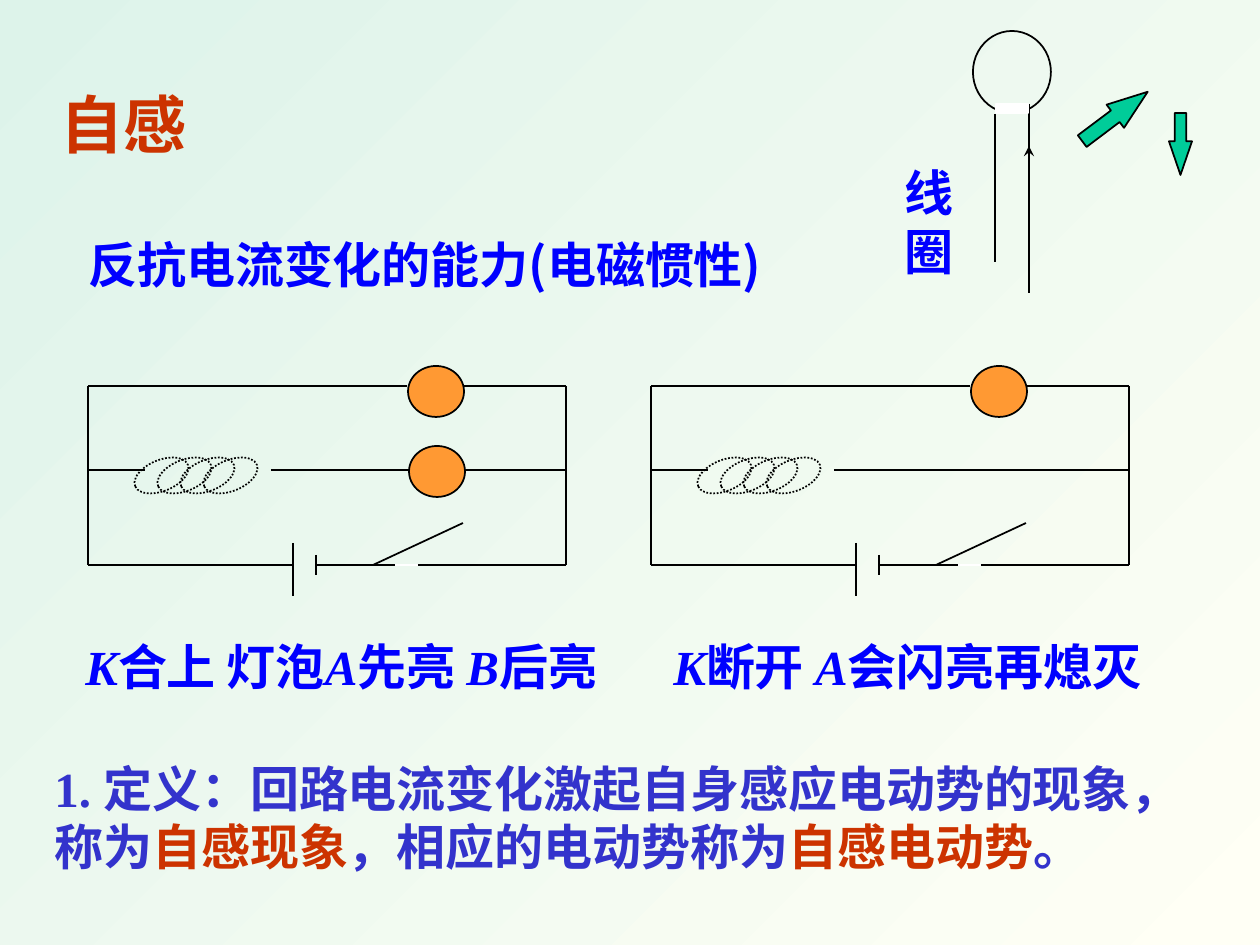
from pptx import Presentation
from pptx.dml.color import RGBColor
from pptx.enum.dml import MSO_LINE
from pptx.enum.shapes import MSO_CONNECTOR, MSO_SHAPE
from pptx.enum.text import MSO_AUTO_SIZE
from pptx.oxml.ns import qn
from pptx.util import Pt
from lxml.etree import SubElement

PX = 914400 / 126
THEME = {
    "bg": ("DDF3EA", "FFFFF5"),
    "line": "000000", "gap": "FFFFFF", "lamp": "FF9933", "arrow": "00CC99",
    "blue": "0000FF", "indigo": "3333CC", "red": "CC3300",
    "title": 36, "body": 28,
    "cjk": "Noto Sans CJK SC", "serif": "Times New Roman",
}


def px(n):
    return round(n * PX)


def rgb(name):
    return RGBColor.from_string(THEME[name])


def line(shapes, x1, y1, x2, y2, color="line", arrow=False):
    c = shapes.add_connector(MSO_CONNECTOR.STRAIGHT, px(x1), px(y1), px(x2), px(y2))
    c.line.color.rgb = rgb(color)
    c.line.width = Pt(1)
    spPr = c._element.spPr
    if arrow:
        SubElement(spPr.find(qn("a:ln")), qn("a:tailEnd"), type="stealth")
    SubElement(spPr, qn("a:effectLst"))


def shape(shapes, kind, x, y, w, h, fill=None, color="line", dash=None, rot=0, adj=()):
    sp = shapes.add_shape(kind, px(x), px(y), px(w), px(h))
    sp.shadow.inherit = False
    if fill:
        sp.fill.solid()
        sp.fill.fore_color.rgb = rgb(fill)
    else:
        sp.fill.background()
    sp.line.color.rgb = rgb(color)
    for name, value in {"width": Pt(1), "dash_style": dash}.items():
        setattr(sp.line, name, value)
    sp.rotation = rot
    for i, value in enumerate(adj):
        sp.adjustments[i] = value


def text(shapes, x, y, w, h, runs, size="body"):
    tf = shapes.add_textbox(px(x), px(y), px(w), px(h)).text_frame
    tf.word_wrap = True
    tf.auto_size = MSO_AUTO_SIZE.SHAPE_TO_FIT_TEXT
    p = tf.paragraphs[0]
    for words, color, font, italic in runs:
        r = p.add_run()
        r.text = words
        fmt = {"size": Pt(THEME[size]), "bold": True, "italic": italic, "name": THEME[font]}
        for name, value in fmt.items():
            setattr(r.font, name, value)
        r.font.color.rgb = rgb(color)
        SubElement(r._r.rPr, qn("a:ea"), typeface=THEME["cjk"])


def background(slide):
    fill = slide.background.fill
    fill.gradient()
    fill.gradient_angle = 315
    for stop, color in zip(fill.gradient_stops, THEME["bg"]):
        stop.color.rgb = RGBColor.from_string(color)


def headings(slide, x, y):
    text(slide.shapes, x, y, 278, 88, [("自感", "red", "cjk", False)], "title")
    text(slide.shapes, x + 28, y + 149, 743, 72,
         [("反抗电流变化的能力(电磁惯性)", "blue", "cjk", False)])


def coil_sketch(slide, x, y):
    g = slide.shapes.add_group_shape().shapes
    shape(g, MSO_SHAPE.RIGHT_ARROW, x + 182, y + 71, 82, 29, "arrow", rot=323, adj=(0.5, 1.4))
    shape(g, MSO_SHAPE.DOWN_ARROW, x + 277, y + 82, 23, 62, "arrow", adj=(0.5, 1.46))
    shape(g, MSO_SHAPE.OVAL, x + 81, y, 78, 82)
    line(g, x + 103, y + 83, x + 103, y + 231)
    line(g, x + 137, y + 73, x + 137, y + 262)
    shape(g, MSO_SHAPE.RECTANGLE, x + 104, y + 73, 32, 9, "gap", "gap")
    line(g, x + 137, y + 157, x + 137, y + 115, arrow=True)
    text(g, x, y + 125, 79, 130, [("线圈", "blue", "serif", False)])


def circuit(slide, x, y, lamps, caption, caption_w):
    g = slide.shapes.add_group_shape().shapes
    w, mid, h = 478, 84, 179
    line(g, x + 296, y + h, x + 341, y + h, "gap")
    wires = [
        (0, 0, 319, 0), (375, 0, w, 0), (0, 0, 0, h), (w, 0, w, h),
        (0, mid, 57, mid), (183, mid, 319, mid), (319, mid, 375, mid), (375, mid, w, mid),
        (0, h, 205, h), (228, h, 307, h), (330, h, w, h),
        (205, 157, 205, 210), (228, 169, 228, 189), (285, h, 375, 137),
    ]
    for x1, y1, x2, y2 in wires:
        line(g, x + x1, y + y1, x + x2, y + y2)
    for i in range(4):
        shape(g, MSO_SHAPE.OVAL, x + 45 + 23 * i, y + 74, 57, 31,
              dash=MSO_LINE.ROUND_DOT, rot=337.8)
    for dx, dy in lamps:
        shape(g, MSO_SHAPE.OVAL, x + dx, y + dy, 56, 51, "lamp")
    text(g, x + (645 - caption_w) // 9 * 0 + caption["dx"], y + 244, caption_w, 72,
         caption["runs"])


def definition(slide, x, y):
    parts = [
        ("1. 定义：回路电流变化激起自身感应电动势的现象，称为", "indigo"),
        ("自感现象", "red"),
        ("，相应的电动势称为", "indigo"),
        ("自感电动势", "red"),
        ("。", "indigo"),
    ]
    text(slide.shapes, x, y, 1176, 130, [(s, c, "serif", False) for s, c in parts])


def letter(s):
    return s, "blue", "serif", True


def words(s):
    return s, "blue", "cjk", False


def main():
    prs = Presentation()
    prs.slide_width, prs.slide_height = px(1260), px(945)
    slide = prs.slides.add_slide(prs.slide_layouts[6])
    background(slide)
    headings(slide, 48, 79)
    coil_sketch(slide, 892, 31)
    definition(slide, 42, 752)
    lamp_a, lamp_b = (320, -20), (321, 60)
    closing = [letter("K"), words("合上 灯泡"), letter("A"), words("先亮 "),
               letter("B"), words("后亮")]
    opening = [letter("K"), words("断开 "), letter("A"), words("会闪亮再熄灭")]
    circuit(slide, 88, 386, [lamp_a, lamp_b], {"dx": -15, "runs": closing}, 645)
    circuit(slide, 651, 386, [lamp_a], {"dx": 10, "runs": opening}, 508)
    prs.save("out.pptx")


if __name__ == "__main__":
    main()
